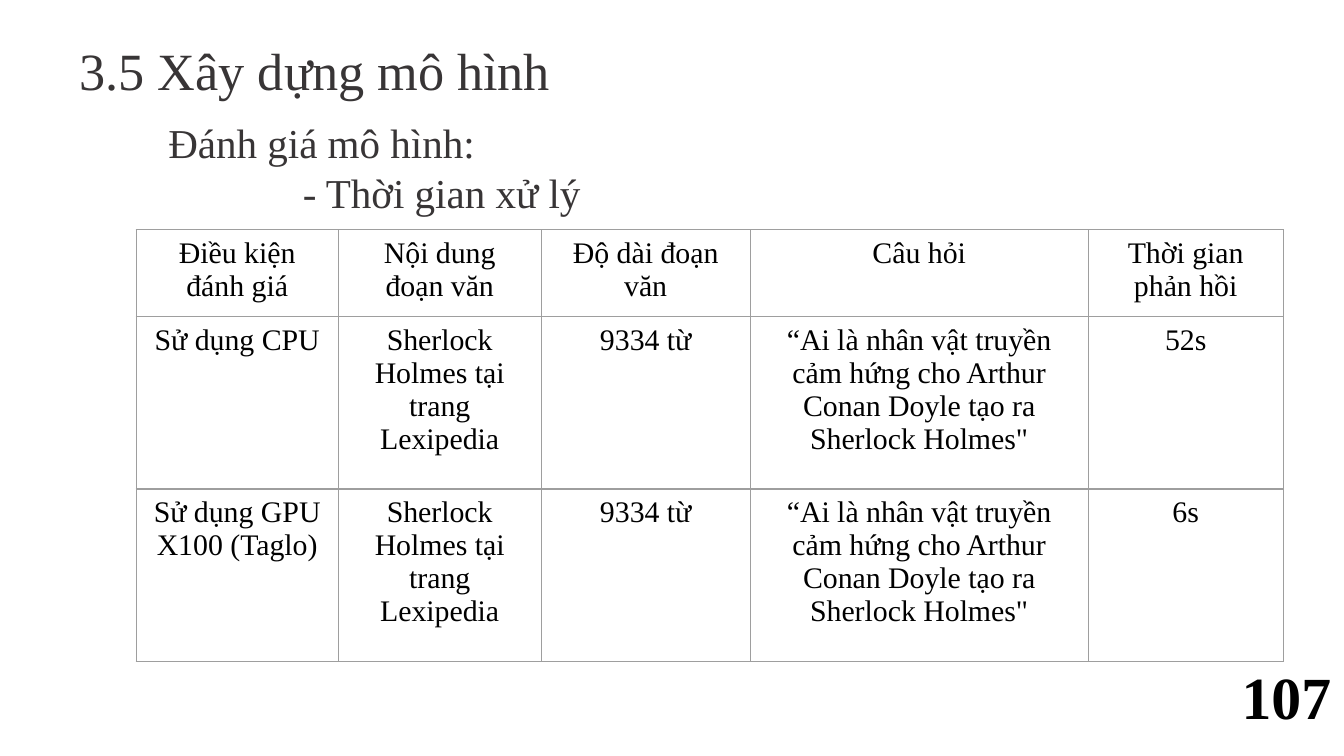
import pptx
import pptx.util
import pptx.dml.color
import pptx.enum.text
import pptx.oxml
import pptx.oxml.ns

THEME = {
    "font": "Times New Roman",
    "heading": "383536", "ink": "000000", "paper": "FFFFFF", "border": "9E9E9E",
    "title_size": 28, "body_size": 22, "cell_size": 16, "number_size": 32,
    "border_width": 0.75,
}
ALIGN = pptx.enum.text.PP_ALIGN
ANCHOR = pptx.enum.text.MSO_ANCHOR


def write(para, text, size, color="ink", align=ALIGN.LEFT, bold=False):
    para.alignment = align
    para.space_before = pptx.util.Pt(0)
    span = para.add_run()
    span.text = text
    span.font.name = THEME["font"]
    span.font.size = pptx.util.Pt(THEME[size])
    span.font.bold = bold
    span.font.color.rgb = pptx.dml.color.RGBColor.from_string(THEME[color])


def place(box, left, top, width, height):
    box.left, box.width = int(across * left), int(across * width)
    box.top, box.height = int(down * top), int(down * height)


deck = pptx.Presentation()
deck.slide_width = pptx.util.Inches(10)
deck.slide_height = deck.slide_width * 9 // 16
across, down = deck.slide_width / 100, deck.slide_height / 100
page = deck.slides.add_slide(deck.slide_layouts[1])
title, body = page.placeholders
place(title, 4.93, 5.2, 93.1, 10)
place(body, 10.13, 15.1, 78.8, 15.3)

for box in (title, body):
    frame = box.text_frame
    frame.auto_size = pptx.enum.text.MSO_AUTO_SIZE.NONE
    frame.word_wrap = True
    frame.vertical_anchor = ANCHOR.BOTTOM
    frame.margin_left = frame.margin_right = pptx.util.Inches(0.1)
    frame.margin_top = frame.margin_bottom = pptx.util.Inches(0.1)

write(title.text_frame.paragraphs[0], "3.5 Xây dựng mô hình", "title_size", "heading")

for index, line in enumerate(["Đánh giá mô hình:", "\t- Thời gian xử lý"]):
    para = body.text_frame.add_paragraph() if index else body.text_frame.paragraphs[0]
    properties = para._p.get_or_add_pPr()
    properties.set("marL", str(pptx.util.Inches(0.14)))
    properties.set("indent", "0")
    properties.set("defTabSz", str(pptx.util.Inches(1)))
    properties.append(pptx.oxml.parse_xml(
        f'<a:buNone {pptx.oxml.ns.nsdecls("a")}/>'))
    write(para, line, "body_size", "heading")

number = page.shapes.add_textbox(0, 0, 0, 0)
place(number, 91.4, 86.4, 8.7, 11.4)
number.text_frame.word_wrap = False
write(number.text_frame.paragraphs[0], "107", "number_size", bold=True)

passage = "Sherlock Holmes tại trang Lexipedia"
length = "9334 từ"
question = "“Ai là nhân vật truyền cảm hứng cho Arthur Conan Doyle tạo ra Sherlock Holmes\""
rows = [
    ["Điều kiện đánh giá", "Nội dung đoạn văn", "Độ dài đoạn văn", "Câu hỏi",
     "Thời gian phản hồi"],
    ["Sử dụng CPU", passage, length, question, "52s"],
    ["Sử dụng GPU X100 (Taglo)", passage, length, question, "6s"],
]
column_shares = [15.04, 15.1, 15.55, 25.16, 14.5]
row_shares = [11.5, 22.8, 22.8]

holder = page.shapes.add_table(len(rows), len(column_shares), 0, 0, 0, 0)
place(holder, 10.13, 30.4, sum(column_shares), sum(row_shares))
table = holder.table
table.first_row = table.horz_banding = False
for column, share in zip(table.columns, column_shares):
    column.width = int(across * share)
for row, share in zip(table.rows, row_shares):
    row.height = int(down * share)

for row, texts in zip(table.rows, rows):
    for cell, text in zip(row.cells, texts):
        write(cell.text_frame.paragraphs[0], text, "cell_size", align=ALIGN.CENTER)
        cell.vertical_anchor = ANCHOR.TOP
        properties = cell._tc.get_or_add_tcPr()
        for side in ("lnL", "lnR", "lnT", "lnB"):
            properties.append(pptx.oxml.parse_xml(
                f'<a:{side} {pptx.oxml.ns.nsdecls("a")} '
                f'w="{pptx.util.Pt(THEME["border_width"])}"><a:solidFill>'
                f'<a:srgbClr val="{THEME["border"]}"/></a:solidFill></a:{side}>'))
        cell.fill.solid()
        cell.fill.fore_color.rgb = pptx.dml.color.RGBColor.from_string(THEME["paper"])

deck.save("out.pptx")
